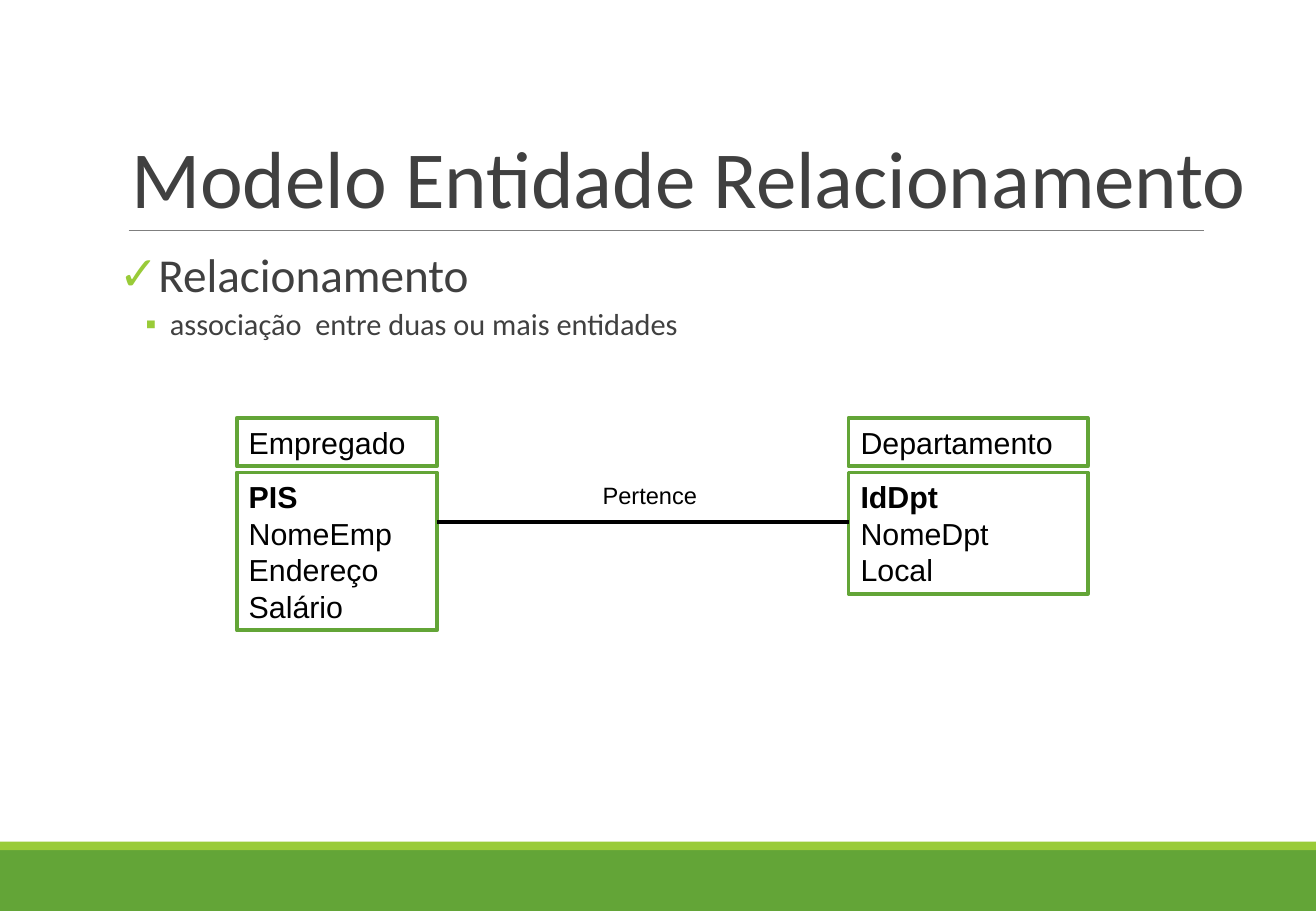
import dataclasses

import pptx
import pptx.dml.color
import pptx.enum.shapes
import pptx.enum.text
import pptx.oxml
import pptx.oxml.ns
import pptx.util
from pptx.util import Inches

ANCHOR = pptx.enum.text.MSO_ANCHOR
FIT = pptx.enum.text.MSO_AUTO_SIZE
RECTANGLE = pptx.enum.shapes.MSO_SHAPE.RECTANGLE
STRAIGHT = pptx.enum.shapes.MSO_CONNECTOR.STRAIGHT


@dataclasses.dataclass(frozen=True)
class Theme:
    green: str = "63A537"
    lime: str = "99CB38"
    gray: str = "7F7F7F"
    ink: str = "404040"
    black: str = "000000"
    heading_font: str = "Calibri"
    diagram_font: str = "Arial"
    title_size: int = 48
    topic_size: int = 28
    text_size: int = 18
    label_size: int = 14
    rule_width: float = 0.5
    outline_width: float = 2.25


THEME = Theme()


def rgb(color):
    return pptx.dml.color.RGBColor.from_string(color)


def place(shape, left, top, width, height):
    shape.left, shape.top = Inches(left), Inches(top)
    shape.width, shape.height = Inches(width), Inches(height)


def set_frame(frame, margins=(0.1, 0.05, 0.1, 0.05), anchor=ANCHOR.TOP,
              wrap=True, fit=FIT.NONE):
    (frame.margin_left, frame.margin_top,
     frame.margin_right, frame.margin_bottom) = map(Inches, margins)
    frame.vertical_anchor = anchor
    frame.word_wrap = wrap
    frame.auto_size = fit


def write(para, text, font=THEME.diagram_font, size=THEME.text_size,
          color=THEME.black, bold=False, spacing=1.0, before=0, after=0):
    para.alignment = pptx.enum.text.PP_ALIGN.LEFT
    para.line_spacing = spacing
    para.space_before = pptx.util.Pt(before)
    para.space_after = pptx.util.Pt(after)
    span = para.add_run()
    span.text = text
    span.font.name = font
    span.font.size = pptx.util.Pt(size)
    span.font.bold = bold
    span.font.color.rgb = rgb(color)


def add_bullet(para, symbol, color, margin, indent):
    properties = para._p.get_or_add_pPr()
    properties.set("marL", str(Inches(margin)))
    properties.set("indent", str(Inches(indent)))
    namespace = pptx.oxml.ns.nsdecls("a")
    for markup in (
        f'<a:buClr {namespace}><a:srgbClr val="{color}"/></a:buClr>',
        f'<a:buFont {namespace} typeface="{THEME.heading_font}"/>',
        f'<a:buChar {namespace} char="{symbol}"/>',
    ):
        properties.append(pptx.oxml.parse_xml(markup))


def add_box(shapes, left, top, width, height, fill=None, line=None):
    box = shapes.add_shape(RECTANGLE, Inches(left), Inches(top),
                           Inches(width), Inches(height))
    box.shadow.inherit = False
    if fill:
        box.fill.solid()
        box.fill.fore_color.rgb = rgb(fill)
    else:
        box.fill.background()
    if line:
        box.line.color.rgb = rgb(line)
        box.line.width = pptx.util.Pt(THEME.outline_width)
    else:
        box.line.fill.background()
    return box


def add_line(page, left, right, y, color, width):
    line = page.shapes.add_connector(STRAIGHT, Inches(left), Inches(y),
                                     Inches(right), Inches(y))
    line.line.color.rgb = rgb(color)
    line.line.width = pptx.util.Pt(width)
    line._element.spPr.append(pptx.oxml.parse_xml(
        f'<a:effectLst {pptx.oxml.ns.nsdecls("a")}/>'))


def add_footer_bands(page, left, top, width, height, accent=0.07):
    add_box(page.shapes, left, top + accent, width, height - accent, fill=THEME.green)
    add_box(page.shapes, left, top, width, accent, fill=THEME.lime)


def add_title(page, text, left, top, width, height):
    title = page.shapes.title
    place(title, left, top, width, height)
    set_frame(title.text_frame, margins=(0.1, 0.05, 0, 0.05), anchor=ANCHOR.BOTTOM)
    write(title.text_frame.paragraphs[0], text, font=THEME.heading_font,
          size=THEME.title_size, color=THEME.ink, spacing=0.85)
    add_line(page, left + 0.08, left + 8.94, top + height, THEME.gray, THEME.rule_width)


def add_topic(page, topic, detail, left, top, width, height):
    body = page.placeholders[1]
    place(body, left, top, width, height)
    frame = body.text_frame
    set_frame(frame, margins=(0, 0.05, 0, 0.05))
    style = dict(font=THEME.heading_font, color=THEME.ink, spacing=0.9)

    para = frame.paragraphs[0]
    add_bullet(para, "✓", THEME.lime, margin=0.1, indent=-0.1)
    write(para, topic, size=THEME.topic_size, after=2, **style)

    para = frame.add_paragraph()
    para.level = 1
    add_bullet(para, "▪", THEME.lime, margin=0.42, indent=-0.2)
    write(para, detail, before=2, after=4, **style)


def add_entity(page, name, attributes, left, top, width):
    """Draw a name box above an attribute box whose first line is the key."""
    header, gap, row = 0.4, 0.05, 0.3
    group = page.shapes.add_group_shape()

    box = add_box(group.shapes, left, top, width, header, line=THEME.green)
    set_frame(box.text_frame, fit=FIT.SHAPE_TO_FIT_TEXT)
    write(box.text_frame.paragraphs[0], name)

    box = add_box(group.shapes, left, top + header + gap, width,
                  row * len(attributes) + 0.1, line=THEME.green)
    frame = box.text_frame
    set_frame(frame, fit=FIT.SHAPE_TO_FIT_TEXT)
    for index, attribute in enumerate(attributes):
        para = frame.add_paragraph() if index else frame.paragraphs[0]
        write(para, attribute, bold=index == 0)


def add_relationship(page, text, left, right, y):
    add_line(page, left, right, y, THEME.black, THEME.outline_width)
    width, height = 0.98, 0.34
    center = (left + right) / 2 + 0.06
    label = page.shapes.add_textbox(Inches(center - width / 2), Inches(y - 0.39),
                                    Inches(width), Inches(height))
    set_frame(label.text_frame, wrap=False, fit=FIT.SHAPE_TO_FIT_TEXT)
    write(label.text_frame.paragraphs[0], text, size=THEME.label_size)


def add_diagram(page, left, top, width):
    employee_width, department_width = 1.65, 1.97
    department_left = left + width - department_width
    add_entity(page, "Departamento", ["IdDpt", "NomeDpt", "Local"],
               department_left, top, department_width)
    add_entity(page, "Empregado", ["PIS", "NomeEmp", "Endereço", "Salário"],
               left, top, employee_width)
    add_relationship(page, "Pertence", left + employee_width,
                     department_left, top + 0.86)


def main():
    deck = pptx.Presentation()
    deck.slide_width, deck.slide_height = Inches(10.84), Inches(7.5)
    page = deck.slides.add_slide(deck.slide_layouts[1])
    add_footer_bands(page, 0, 6.93, 10.84, 0.57)
    add_title(page, "Modelo Entidade Relacionamento", 0.98, 0.31, 9.4, 1.59)
    add_topic(page, "Relacionamento", "associação  entre duas ou mais entidades",
              0.98, 2.02, 8.94, 4.4)
    add_diagram(page, 1.95, 3.44, 7.01)
    deck.save("out.pptx")


if __name__ == "__main__":
    main()
